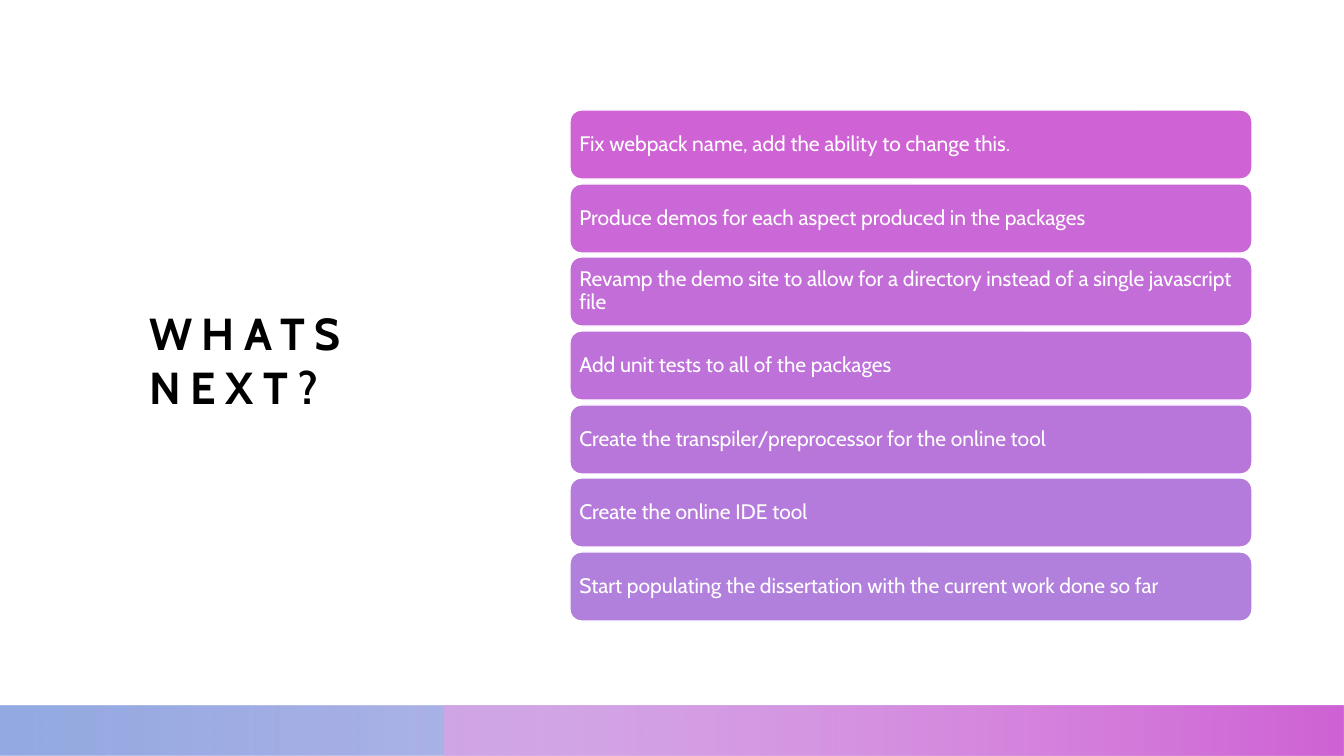
"""Build the "Whats next?" slide: a title, seven task bars and a gradient footer."""
from pptx import Presentation
from pptx.dml.color import RGBColor
from pptx.enum.shapes import MSO_SHAPE as SHAPE
from pptx.enum.text import MSO_ANCHOR as ANCHOR, MSO_AUTO_SIZE as AUTOSIZE, PP_ALIGN as ALIGN
from pptx.oxml.ns import qn
from pptx.util import Emu, Pt
from lxml.etree import SubElement

WHITE = RGBColor(0xFF, 0xFF, 0xFF)
BLACK = RGBColor(0x00, 0x00, 0x00)
BLUE = RGBColor(0x80, 0x9C, 0xDD)
VIOLET = RGBColor(0x71, 0x63, 0xD5)
PINK = RGBColor(0xE2, 0xA1, 0xE6)
MAGENTA = RGBColor(0xCF, 0x63, 0xD5)

TASKS = [
    ("Fix webpack name, add the ability to change this.", MAGENTA),
    ("Produce demos for each aspect produced in the packages", RGBColor(0xC9, 0x68, 0xD6)),
    ("Revamp the demo site to allow for a directory instead of a single javascript file",
     RGBColor(0xC3, 0x6D, 0xD8)),
    ("Add unit tests to all of the packages", RGBColor(0xBE, 0x71, 0xD9)),
    ("Create the transpiler/preprocessor for the online tool", RGBColor(0xB9, 0x76, 0xDA)),
    ("Create the online IDE tool", RGBColor(0xB5, 0x7B, 0xDC)),
    ("Start populating the dissertation with the current work done so far",
     RGBColor(0xB1, 0x80, 0xDD)),
]
FIRST_TOP, LAST_TOP = 110, 552

FOOTER = [
    (0, 1344, [(0, BLUE, 85), (0.86, VIOLET, 28)]),
    (445, 899, [(0.09, PINK, 68), (0.99, MAGENTA, 100)]),
]


def px(*lengths):
    return [Emu(round(n * 914400 / 100.8)) for n in lengths]


def write(shape, text, insets, size, color, bold):
    tf = shape.text_frame
    left, top, right, bottom = px(*insets)
    frame = {"margin_left": left, "margin_top": top, "margin_right": right,
             "margin_bottom": bottom, "word_wrap": True,
             "auto_size": AUTOSIZE.NONE, "vertical_anchor": ANCHOR.MIDDLE}
    for name, value in frame.items():
        setattr(tf, name, value)
    p = tf.paragraphs[0]
    p.alignment = ALIGN.LEFT
    r = p.add_run()
    r.text = text
    for name, value in {"name": "Cabin", "size": Pt(size), "bold": bold}.items():
        setattr(r.font, name, value)
    r.font.color.rgb = color
    return p


prs = Presentation()
prs.slide_width, prs.slide_height = px(1344, 756)
s = prs.slides.add_slide(prs.slide_layouts[5])

title = s.shapes.title
title.left, title.top, title.width, title.height = px(149, 113, 367, 493)
p = write(title, "WHATS NEXT?", (0, 0, 0, 0), 32, BLACK, True)
p.runs[0].font._element.set("spc", "700")

for left, width, stops in FOOTER:
    sp = s.shapes.add_shape(SHAPE.RECTANGLE, *px(left, 706, width, 50))
    sp.shadow.inherit = False
    sp.line.fill.background()
    sp.fill.gradient()
    sp.fill.gradient_angle = 0
    for stop, (position, color, _) in zip(sp.fill.gradient_stops, stops):
        stop.position = position
        stop.color.rgb = color
    for clr, (_, _, opacity) in zip(sp._element.spPr.iter(qn("a:srgbClr")), stops):
        SubElement(clr, qn("a:alpha"), val=str(opacity * 1000))

pitch = (LAST_TOP - FIRST_TOP) / (len(TASKS) - 1)
for i, (task, color) in enumerate(TASKS):
    top = round(FIRST_TOP + i * pitch)
    sp = s.shapes.add_shape(SHAPE.ROUNDED_RECTANGLE, *px(570, top, 682, 69))
    sp.shadow.inherit = False
    sp.fill.solid()
    sp.fill.fore_color.rgb = color
    sp.line.color.rgb = WHITE
    sp.line.width = Pt(1)
    p = write(sp, task, (6, 6, 6, 6), 15, WHITE, False)
    p.line_spacing = 0.9

prs.save("out.pptx")
